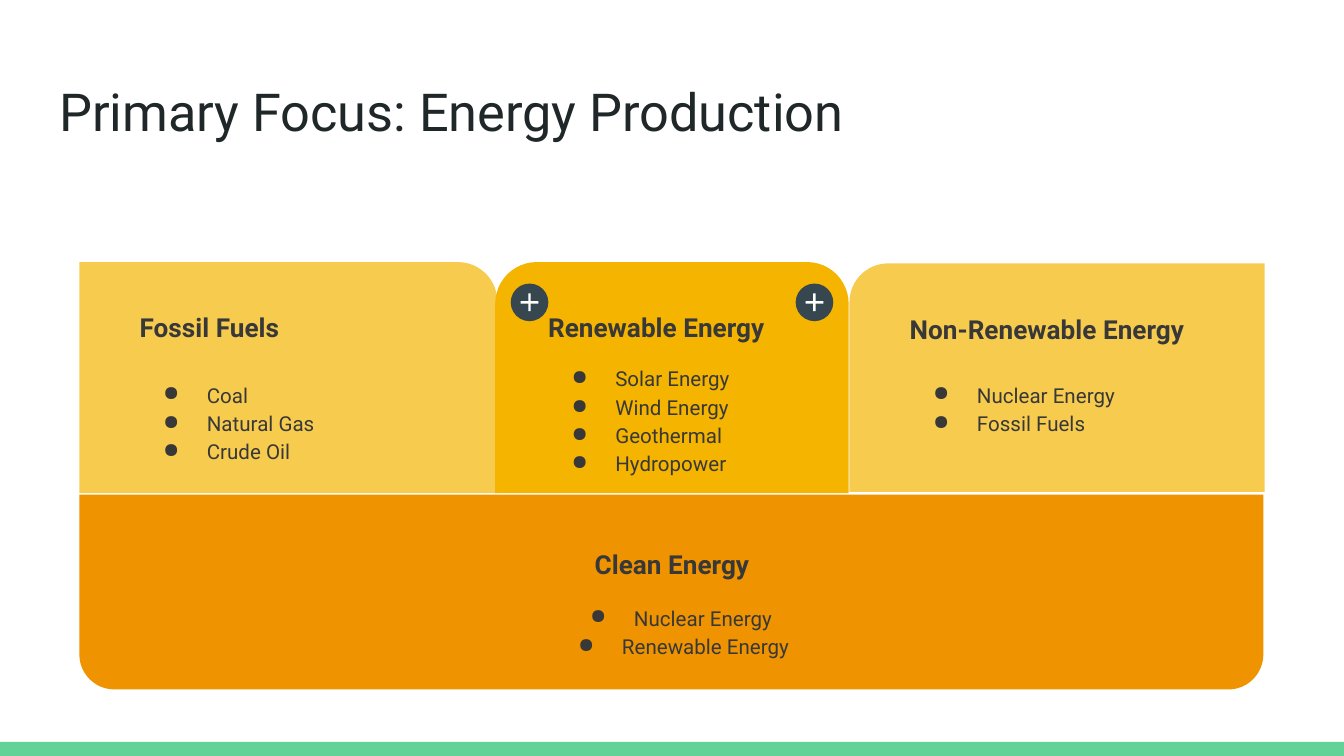
from dataclasses import dataclass

from lxml import etree
from pptx import Presentation
from pptx.dml.color import RGBColor
from pptx.enum.shapes import MSO_SHAPE
from pptx.enum.text import MSO_ANCHOR, MSO_AUTO_SIZE, PP_ALIGN
from pptx.oxml.ns import qn
from pptx.util import Pt

RECT = MSO_SHAPE.RECTANGLE
ROUND_ONE = MSO_SHAPE.ROUND_1_RECTANGLE
ROUND_TWO = MSO_SHAPE.ROUND_2_SAME_RECTANGLE
OVAL = MSO_SHAPE.OVAL
PLUS = MSO_SHAPE.MATH_PLUS
TOP = MSO_ANCHOR.TOP
FIXED = MSO_AUTO_SIZE.NONE
LEFT, CENTER = PP_ALIGN.LEFT, PP_ALIGN.CENTER
PX = 4572
INSET = 20


@dataclass(frozen=True)
class Theme:
    """Colours and type of the slide."""
    face: str = "Roboto"
    ink: str = "202729"
    text: str = "383838"
    green: str = "63D297"
    pale: str = "F7CB4D"
    gold: str = "F4B400"
    orange: str = "F09300"
    slate: str = "37474F"
    white: str = "FFFFFF"
    title: int = 28
    head: int = 14
    item: int = 11


class Deck:
    """Draws styled elements on the current slide."""

    def __init__(self, theme, width, height):
        """Open a deck with one title-only slide."""
        self.theme = theme
        self.file = Presentation()
        self.file.slide_width, self.file.slide_height = width * PX, height * PX
        self.slide = self.file.slides.add_slide(self.file.slide_layouts[5])

    def shape(self, kind, box, fill, adjust=(), turn=0, flip=False):
        """Add a filled shape without outline."""
        shape = self.slide.shapes.add_shape(kind, *(n * PX for n in box))
        shape.shadow.inherit = False
        shape.fill.solid()
        shape.fill.fore_color.rgb = RGBColor.from_string(fill)
        shape.line.fill.background()
        for i, value in enumerate(adjust):
            shape.adjustments[i] = value
        shape.rotation = turn
        if flip:
            shape._element.spPr.xfrm.set("flipH", "1")

    def bullet(self, para):
        """Give a paragraph a hanging round bullet."""
        props = para._p.get_or_add_pPr()
        props.set("marL", str(100 * PX))
        props.set("indent", str(-65 * PX))
        color = etree.SubElement(props, qn("a:buClr"))
        etree.SubElement(color, qn("a:srgbClr"), val=self.theme.text)
        etree.SubElement(props, qn("a:buChar"), char="●")
        para.line_spacing = 1.15

    def fill(self, frame, lines, size, color, bold=False, align=LEFT, dots=False):
        """Fill a text frame with one paragraph per line."""
        frame.word_wrap = True
        frame.auto_size = FIXED
        frame.vertical_anchor = TOP
        frame.margin_left = frame.margin_right = INSET * PX
        frame.margin_top = frame.margin_bottom = INSET * PX
        frame.text = "\n".join(lines)
        for para in frame.paragraphs:
            if dots:
                self.bullet(para)
            para.alignment = align
            font = para.font
            font.name, font.size, font.bold = self.theme.face, Pt(size), bold
            font.color.rgb = RGBColor.from_string(color)

    def title(self, box, text):
        """Place and format the slide title."""
        hold = self.slide.shapes.title
        hold.left, hold.top, hold.width, hold.height = (n * PX for n in box)
        self.fill(hold.text_frame, [text], self.theme.title, self.theme.ink)

    def text(self, box, lines, size, **style):
        """Add a text box."""
        frame = self.slide.shapes.add_textbox(*(n * PX for n in box)).text_frame
        self.fill(frame, lines, size, self.theme.text, **style)

    def group(self, left, width, tops, head, items, align=LEFT):
        """Add a heading and its bulleted list."""
        theme = self.theme
        self.text((left, tops[0], width, 100), [head], theme.head, bold=True, align=align)
        self.text((left, tops[1], width, 112), items, theme.item, align=align, dots=True)

    def badge(self, left, top):
        """Add a round plus badge."""
        self.shape(OVAL, (left, top, 56, 56), self.theme.slate)
        self.shape(PLUS, (left + 10, top + 10, 36, 36), self.theme.white, (0.1,))


def main():
    """Build and save the slide."""
    theme = Theme()
    deck = Deck(theme, 2000, 1125)
    deck.shape(RECT, (0, 1104, 2000, 21), theme.green)
    deck.title((68, 98, 1864, 126), "Primary Focus: Energy Production")

    deck.shape(ROUND_ONE, (118, 390, 622, 344), theme.pale, (0.17,))
    deck.group(188, 464, (444, 544), "Fossil Fuels", ["Coal", "Natural Gas", "Crude Oil"])

    deck.shape(ROUND_TWO, (737, 390, 526, 344), theme.gold, (0.18, 0))
    deck.group(796, 394, (444, 520), "Renewable Energy",
               ["Solar Energy", "Wind Energy", "Geothermal", "Hydropower"])

    deck.shape(ROUND_TWO, (118, 736, 1762, 290), theme.orange, (0.18, 0), turn=180)
    deck.group(398, 1204, (796, 876), "Clean Energy",
               ["Nuclear Energy ", "Renewable Energy"], CENTER)

    deck.shape(ROUND_ONE, (1264, 392, 618, 340), theme.pale, (0.17,), flip=True)
    deck.group(1334, 462, (446, 544), "Non-Renewable Energy", ["Nuclear Energy", "Fossil Fuels"])

    for left in (760, 1184):
        deck.badge(left, 422)
    deck.file.save("out.pptx")


if __name__ == "__main__":
    main()
